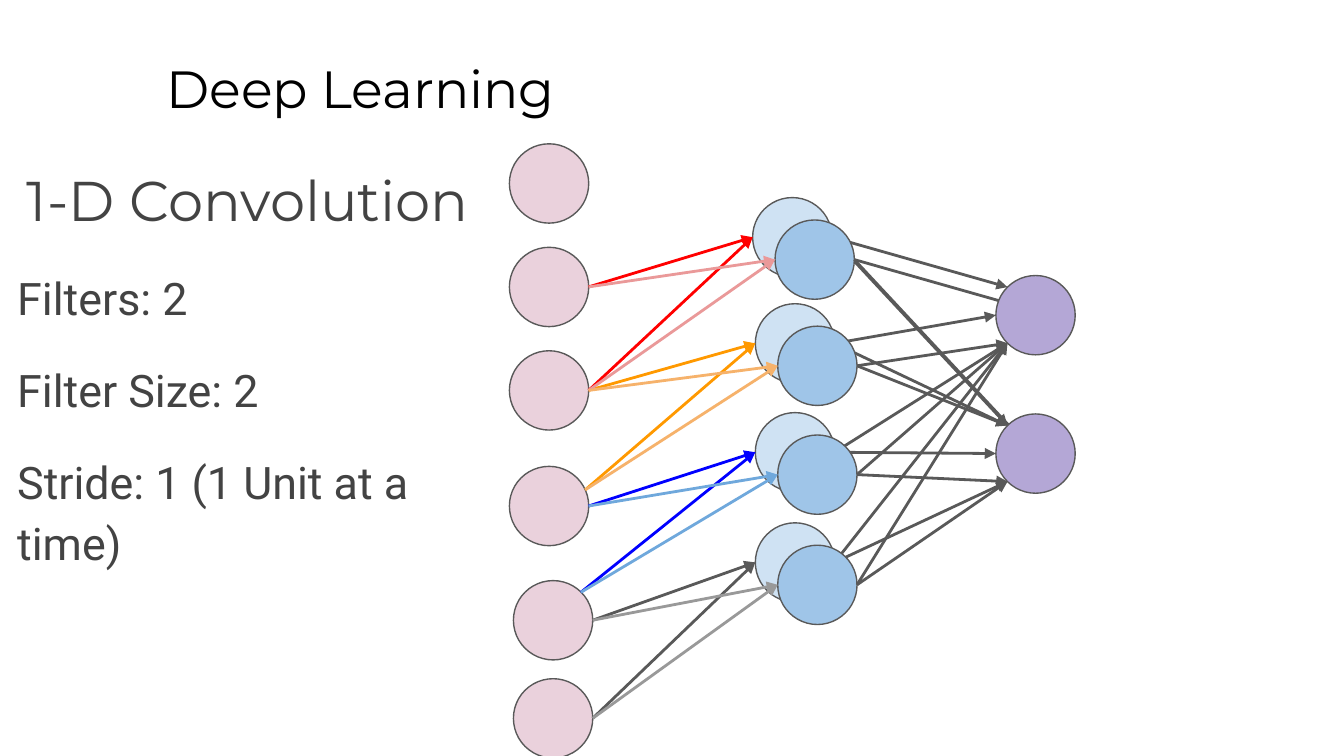
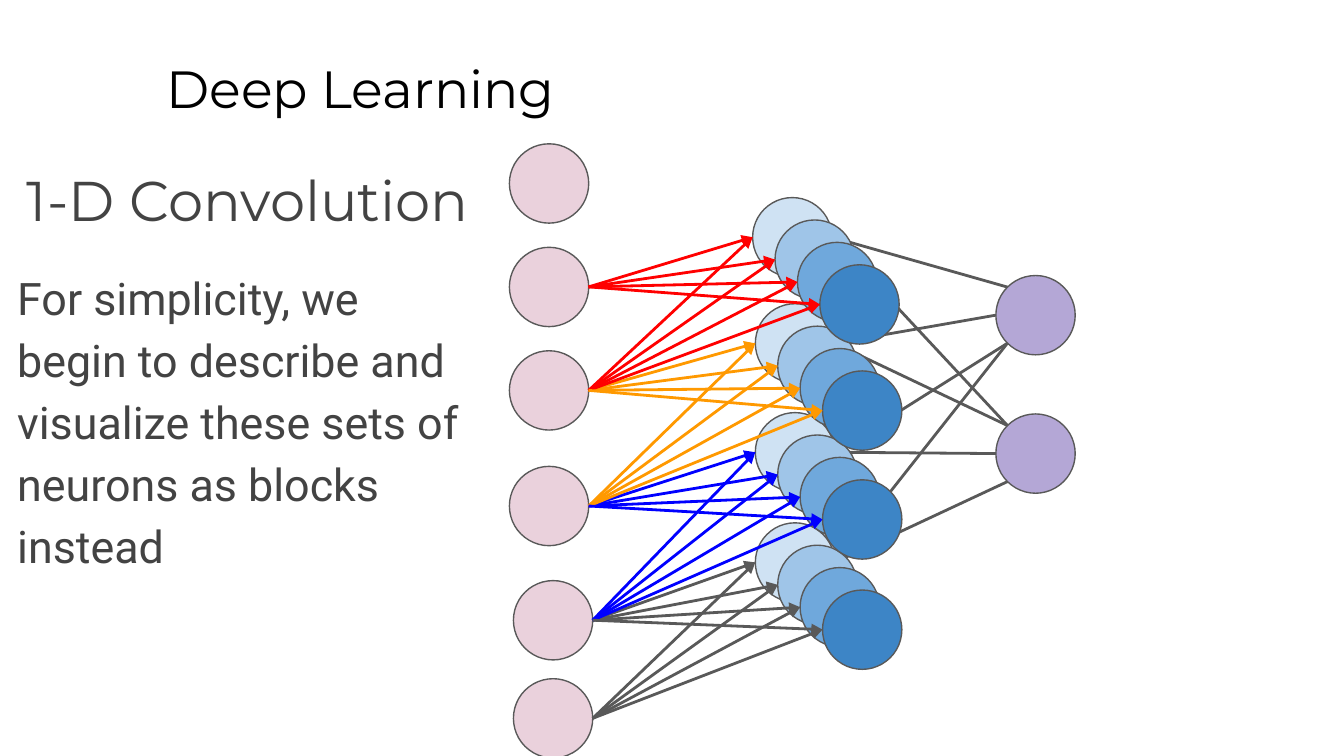
from collections import namedtuple
from math import cos, radians, sin

from lxml.etree import SubElement
from pptx import Presentation
from pptx.dml.color import RGBColor
from pptx.enum.shapes import MSO_CONNECTOR as Connector, MSO_SHAPE as Shape
from pptx.enum.text import MSO_ANCHOR as Anchor, PP_ALIGN as Align
from pptx.oxml.ns import qn
from pptx.util import Inches, Pt

BLACK = RGBColor(0x00, 0x00, 0x00)
TEXT_GRAY = RGBColor(0x43, 0x43, 0x43)
LINE_GRAY = RGBColor(0x59, 0x59, 0x59)
LIGHT_GRAY = RGBColor(0x99, 0x99, 0x99)
RED = RGBColor(0xFF, 0x00, 0x00)
PALE_RED = RGBColor(0xEA, 0x99, 0x99)
ORANGE = RGBColor(0xFF, 0x99, 0x00)
PALE_ORANGE = RGBColor(0xF6, 0xB2, 0x6B)
BLUE = RGBColor(0x00, 0x00, 0xFF)
PINK = RGBColor(0xEA, 0xD1, 0xDC)
PURPLE = RGBColor(0xB4, 0xA7, 0xD6)
SKY = RGBColor(0x6F, 0xA8, 0xDC)
FILTER_FILLS = [
    RGBColor(0xCF, 0xE2, 0xF3), RGBColor(0x9F, 0xC5, 0xE8),
    SKY, RGBColor(0x3D, 0x85, 0xC6),
]
STRONG = [RED, ORANGE, BLUE, LINE_GRAY]
PALE = [PALE_RED, PALE_ORANGE, SKY, LIGHT_GRAY]

SLIDE_WIDTH, SLIDE_HEIGHT = Inches(10), Inches(5.625)
COLUMN = ROW = SLIDE_WIDTH / 10
DIAMETER = 0.59
FILTER_STEP = 1 / 6
UPPER_LEFT, LEFT, LOWER_LEFT, RIGHT = 135, 180, 225, 0

Neuron = namedtuple("Neuron", "left top")
Link = namedtuple("Link", "row output angle")

INPUTS = [Neuron(3.79, top) for top in (1.07, 1.84, 2.61, 3.47)]
INPUTS += [Neuron(3.82, top) for top in (4.32, 5.05)]
UNITS = [Neuron(5.6, 1.47)] + [Neuron(5.62, top) for top in (2.26, 3.07, 3.89)]
OUTPUTS = [Neuron(7.41, top) for top in (2.05, 3.08)]
FIRST_LINKS = [
    Link(0, 0, UPPER_LEFT), Link(1, 0, LEFT),
    Link(2, 0, LOWER_LEFT), Link(3, 0, LOWER_LEFT),
    Link(0, 1, UPPER_LEFT), Link(1, 1, UPPER_LEFT),
    Link(2, 1, LEFT), Link(3, 1, LOWER_LEFT),
]
SECOND_LINKS = [
    Link(1, 0, LOWER_LEFT), Link(2, 0, LOWER_LEFT), Link(3, 0, LOWER_LEFT),
    Link(1, 1, UPPER_LEFT), Link(2, 1, LOWER_LEFT), Link(3, 1, LOWER_LEFT),
]


def grid(columns, rows):
    """Turn grid columns and rows into slide lengths."""
    return round(columns * COLUMN), round(rows * ROW)


def edge(neuron, angle):
    """Return the point on a neuron's rim at an angle in degrees."""
    radius = DIAMETER / 2
    return (neuron.left + radius * (1 + cos(radians(angle))),
            neuron.top + radius * (1 - sin(radians(angle))))


def shifted(neuron, layer):
    """Move a neuron diagonally to its place in a filter layer."""
    offset = layer * FILTER_STEP
    return Neuron(neuron.left + offset, neuron.top + offset)


def add_neurons(slide, neurons, color):
    """Draw a group of neurons in one colour."""
    for neuron in neurons:
        shape = slide.shapes.add_shape(
            Shape.OVAL, *grid(*neuron), *grid(DIAMETER, DIAMETER))
        shape.shadow.inherit = False
        shape.fill.solid()
        shape.fill.fore_color.rgb = color
        shape.line.color.rgb = LINE_GRAY
        shape.line.width = Pt(0.75)


def add_link(slide, start, end, color, arrow=True):
    """Draw a link, with an arrowhead at its end if wanted."""
    connector = slide.shapes.add_connector(
        Connector.STRAIGHT, *grid(*start), *grid(*end))
    connector.line.color.rgb = color
    connector.line.width = Pt(1.5)
    properties = connector._element.spPr
    if arrow:
        SubElement(properties.find(qn("a:ln")), qn("a:tailEnd"), type="triangle")
    SubElement(properties, qn("a:effectLst"))


def add_convolution(slide, layer, colors, far_angles):
    """Link each unit of a filter layer to its two neighbouring inputs."""
    for row, (unit, color, angle) in enumerate(zip(UNITS, colors, far_angles)):
        target = edge(shifted(unit, layer), LEFT)
        add_link(slide, edge(INPUTS[row + 1], RIGHT), target, color)
        add_link(slide, edge(INPUTS[row + 2], angle), target, color)


def add_dense(slide, links, layer=0, arrow=True):
    """Link the units of a filter layer to the output neurons."""
    for link in links:
        add_link(slide, edge(shifted(UNITS[link.row], layer), RIGHT),
                 edge(OUTPUTS[link.output], link.angle), LINE_GRAY, arrow)


def add_shifted_dense(slide):
    """Link the second filter's top unit to points inside the outputs."""
    for output in OUTPUTS:
        add_link(slide, edge(shifted(UNITS[0], 1), RIGHT),
                 edge(shifted(output, 1), UPPER_LEFT), LINE_GRAY)


def add_text_frame(slide, left, top, width, height):
    """Add a wrapping text box and return its frame."""
    box = slide.shapes.add_textbox(*grid(left, top), *grid(width, height))
    frame = box.text_frame
    frame.word_wrap = True
    frame.vertical_anchor = Anchor.TOP
    frame.margin_left = frame.margin_right = Inches(0.1)
    frame.margin_top = frame.margin_bottom = Inches(0.1)
    return frame


def add_run(paragraph, text, font, size, color):
    """Add one formatted run to a paragraph."""
    run = paragraph.add_run()
    run.text = text
    run.font.name = font
    run.font.size = Pt(size)
    run.font.color.rgb = color


def add_network_slide(presentation, lines):
    """Add a slide with the titles, body lines and input neurons."""
    slide = presentation.slides.add_slide(presentation.slide_layouts[6])
    title = add_text_frame(slide, 1.14, 0.32, 8.52, 0.63)
    add_run(title.paragraphs[0], "Deep Learning", "Montserrat", 28, BLACK)
    body = add_text_frame(slide, 0.03, 1.06, 3.63, 4.09)
    heading = body.paragraphs[0]
    heading.alignment = Align.CENTER
    heading.line_spacing = 1.15
    add_run(heading, "1-D Convolution", "Montserrat", 30, TEXT_GRAY)
    for line in lines:
        paragraph = body.add_paragraph()
        paragraph.line_spacing = 1.15
        paragraph.space_before = Pt(16)
        add_run(paragraph, line, "Roboto", 24, TEXT_GRAY)
    add_neurons(slide, INPUTS, PINK)
    return slide


def add_filters(slide, palettes, far_angles, dense_arrow):
    """Draw the stacked filter layers and the links that reach them."""
    add_neurons(slide, UNITS, FILTER_FILLS[0])
    add_convolution(slide, 0, palettes[0], far_angles)
    add_dense(slide, FIRST_LINKS, arrow=dense_arrow)
    layers = range(1, len(palettes))
    for layer in layers:
        add_neurons(slide, [shifted(unit, layer) for unit in UNITS],
                    FILTER_FILLS[layer])
    for layer in layers:
        add_convolution(slide, layer, palettes[layer], far_angles)


def main():
    """Build both convolution slides and save them."""
    presentation = Presentation()
    presentation.slide_width = SLIDE_WIDTH
    presentation.slide_height = SLIDE_HEIGHT

    two_filters = add_network_slide(presentation, [
        "Filters: 2", "Filter Size: 2", "Stride: 1 (1 Unit at a time)"])
    add_filters(two_filters, [STRONG, PALE], (RIGHT, 24, 45, RIGHT), True)
    add_dense(two_filters, SECOND_LINKS, layer=1)
    add_shifted_dense(two_filters)
    add_neurons(two_filters, OUTPUTS, PURPLE)

    blocks = add_network_slide(presentation, [
        "For simplicity, we begin to describe and visualize these sets of "
        "neurons as blocks instead"])
    add_filters(blocks, [STRONG] * 4, [RIGHT] * 4, False)
    add_neurons(blocks, OUTPUTS, PURPLE)

    presentation.save("out.pptx")


if __name__ == "__main__":
    main()
